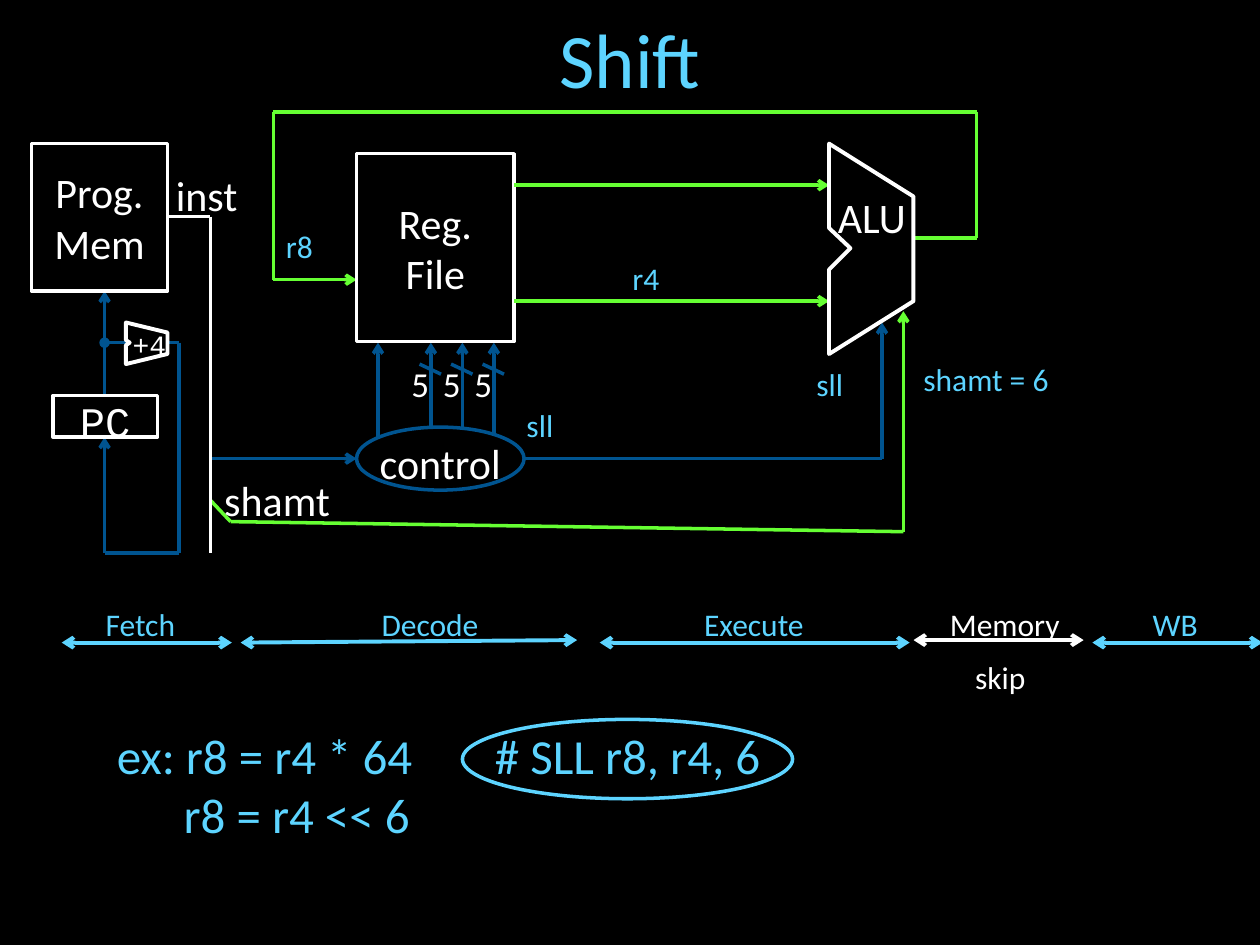
import dataclasses
import pptx
import pptx.dml.color
import pptx.enum.shapes
import pptx.enum.text
import pptx.oxml
import pptx.oxml.ns
import pptx.util

Inches = pptx.util.Inches
Pt = pptx.util.Pt
SHAPE = pptx.enum.shapes.MSO_SHAPE
ALIGN = pptx.enum.text.PP_ALIGN
ANCHOR = pptx.enum.text.MSO_ANCHOR


@dataclasses.dataclass(frozen=True)
class Theme:
    back: str = "000000"
    white: str = "FFFFFF"
    sky: str = "5DD4FF"
    blue: str = "005490"
    green: str = "66FF33"
    font: str = "Calibri"
    mono: str = "Courier New"
    title: int = 44
    code: int = 28
    block: int = 24
    bits: int = 20
    note: int = 18
    small: int = 16
    wire: float = 2
    bold: float = 2.25


THEME = Theme()


def rgb(color):
    return pptx.dml.color.RGBColor.from_string(color)


def element(tag, **attrs):
    item = pptx.oxml.parse_xml(f"<{tag} {pptx.oxml.ns.nsdecls('a')}/>")
    for key, value in attrs.items():
        item.set(key, str(value))
    return item


def style(frame, size, color, font=THEME.font, align=None, spacing=None):
    for para in frame.paragraphs:
        para.alignment = align
        para.line_spacing = spacing
        for run in para.runs:
            run.font.size = Pt(size)
            run.font.name = font
            run.font.color.rgb = rgb(color)


class Region:
    """Draws on a slide, in inches from the top left of a box."""

    def __init__(self, slide, box):
        self.shapes = slide.shapes
        self.left, self.top, self.width, self.height = box

    def spot(self, x, y):
        return Inches(self.left + x), Inches(self.top + y)

    def place(self, box):
        x, y, w, h = box
        return *self.spot(x, y), Inches(w), Inches(h)

    def wire(self, points, color, width=THEME.wire, head=None, tail=None):
        """Joins the points; head and tail mark the first and last one."""
        last = len(points) - 2
        for i, (start, end) in enumerate(zip(points, points[1:])):
            line = self.shapes.add_connector(
                pptx.enum.shapes.MSO_CONNECTOR.STRAIGHT,
                *self.spot(*start), *self.spot(*end))
            line.line.color.rgb = rgb(color)
            line.line.width = Pt(width)
            ln = line.line._get_or_add_ln()
            if head and i == 0:
                ln.append(element("a:headEnd", type=head))
            if tail and i == last:
                ln.append(element("a:tailEnd", type=tail))
            line._element.spPr.append(element("a:effectLst"))

    def trim(self, shape, color, width, fill=None):
        shape.shadow.inherit = False
        if fill:
            shape.fill.solid()
            shape.fill.fore_color.rgb = rgb(fill)
        else:
            shape.fill.background()
        shape.line.color.rgb = rgb(color)
        shape.line.width = Pt(width)

    def block(self, kind, box, text="", color=THEME.white, fill=None,
              font=THEME.font, wrap=True, spacing=None):
        shape = self.shapes.add_shape(kind, *self.place(box))
        self.trim(shape, color, THEME.wire, fill)
        if text:
            frame = shape.text_frame
            frame.text = text
            frame.word_wrap = wrap
            frame.vertical_anchor = ANCHOR.MIDDLE
            style(frame, THEME.block, THEME.white, font, ALIGN.CENTER, spacing)

    def outline(self, points):
        start, *rest = [self.spot(*point) for point in points]
        pen = self.shapes.build_freeform(*start)
        pen.add_line_segments(rest, close=True)
        self.trim(pen.convert_to_shape(), THEME.white, THEME.bold)

    def label(self, text, box, size=THEME.block, font=THEME.font):
        """White text centred on its box, without margins."""
        frame = self.shapes.add_textbox(*self.place(box)).text_frame
        frame.text = text
        frame.word_wrap = False
        frame.vertical_anchor = ANCHOR.MIDDLE
        frame.margin_left = frame.margin_right = 0
        frame.margin_top = frame.margin_bottom = 0
        style(frame, size, THEME.white, font, ALIGN.CENTER, 1.16)

    def note(self, text, x, y, w=0.42, color=THEME.sky):
        frame = self.shapes.add_textbox(*self.place((x, y, w, 0.4))).text_frame
        frame.text = text
        frame.word_wrap = False
        style(frame, THEME.note, color)


def heading(slide, box):
    title = slide.shapes.title
    title.left, title.top, title.width, title.height = map(Inches, box)
    frame = title.text_frame
    frame.text = "Shift"
    frame.vertical_anchor = ANCHOR.MIDDLE
    style(frame, THEME.title, THEME.sky, align=ALIGN.CENTER)


def fetch(slide, box):
    part = Region(slide, box)
    stem, mid, end = 0.58, 1.58, part.height
    part.wire([(stem, 2), (stem, 1.17)], THEME.blue, tail="arrow")
    part.wire([(stem, mid), (0.75, mid)], THEME.blue, head="oval")
    part.wire([(1.08, mid), (1.17, mid), (1.17, end), (stem, end),
               (stem, 2.33)], THEME.blue, tail="arrow")
    part.wire([(1.08, 0.58), (part.width, 0.58), (part.width, end)],
              THEME.white)
    part.block(SHAPE.RECTANGLE, (0, 0, 1.08, 1.17), "Prog.\nMem")
    part.block(SHAPE.RECTANGLE, (0.17, 2, 0.83, 0.33), "PC",
               font=THEME.mono, spacing=1.16)
    part.outline([(0.75, 1.42), (1.08, 1.5), (1.08, 1.67), (0.75, 1.75),
                  (0.75, 1.6), (0.78, mid), (0.75, 1.56)])
    part.label("+4", (0.78, 1.45, 0.31, 0.25), THEME.small, THEME.mono)
    part.label("inst", (1.12, 0.25, 0.54, 0.25))


def decode(slide, box):
    part = Region(slide, box)
    for x, y in ((0.17, 2.34), (0.59, 2.25), (0.84, 2.25), (1.09, 2.34)):
        part.wire([(x, y), (x, 1.5)], THEME.blue, tail="arrow")
    for x in (0.59, 0.84, 1.09):
        part.label("5", (x - 0.17, 1.67, 0.17, 0.25), THEME.bits)
        part.wire([(x - 0.09, 1.67), (x + 0.08, 1.75)], THEME.blue)
    part.block(SHAPE.RECTANGLE, (0, 0, 1.25, 1.49), "Reg.\vFile")
    part.block(SHAPE.OVAL, (0, 2.17, part.width, 0.5), "control", THEME.blue,
               THEME.back, wrap=False, spacing=1.16)
    part.note("sll", 1.25, 1.95)


def execute(slide, box):
    part = Region(slide, box)
    for y in (0.33, 1.25):
        part.wire([(0, y), (2.5, y)], THEME.green, tail="arrow")
    part.wire([(0.09, 2.5), (2.92, 2.5), (2.92, 1.42)], THEME.blue,
              tail="arrow")
    part.outline([(2.5, 0), (3.17, 0.42), (3.17, 1.25), (2.5, 1.67),
                  (2.5, 1), (2.67, 0.83), (2.5, 0.67)])
    part.label("ALU", (2.54, 0.33, 0.6, 0.43))
    part.note("r4", 0.84, 0.87)
    part.note("sll", 2.3, 1.71)
    part.note("shamt = 6", 3.15, 1.67, 1.21)


def routes(slide, box):
    """Draws the wires that link the stages."""
    part = Region(slide, box)
    part.wire([(5.58, 1), (part.width, 1), (part.width, 0), (0.5, 0),
               (0.5, 1.33), (1.16, 1.33)], THEME.green, tail="arrow")
    part.note("r8", 0.5, 0.86)
    part.wire([(0, 2.75), (1.16, 2.75)], THEME.blue, tail="arrow")
    part.wire([(0, 3.08), (0.16, 3.25), (5.5, 3.33), (5.5, 1.58)],
              THEME.green, tail="arrow")
    part.label("shamt", (0.08, 2.92, 0.9, 0.25))


def stages(slide, box):
    part = Region(slide, box)
    spans = (
        # name, from, to, label left, label width, heights at both ends
        ("Fetch", 0, 1.35, 0.25, 0.76, 0.35, 0.35),
        ("Decode", 1.42, 4.09, 2.44, 0.98, 0.35, 0.33),
        ("Execute", 4.27, 6.73, 5, 1, 0.35, 0.35),
        ("Memory", 6.76, 8.11, 6.95, 1.08, 0.33, 0.33),
        ("WB", 8.18, 9.53, 8.56, 0.56, 0.35, 0.35),
    )
    for name, start, end, x, w, rise, fall in spans:
        color = THEME.white if name == "Memory" else THEME.sky
        part.wire([(start, rise), (end, fall)], color, THEME.bold,
                  "arrow", "arrow")
        part.note(name, x, 0, w, color)
    part.note("skip", 7.15, 0.42, 0.61, THEME.white)


def sample(slide, box):
    part = Region(slide, box)
    area = part.place((0, 0, part.width, part.height))
    frame = part.shapes.add_textbox(*area).text_frame
    frame.word_wrap = True
    frame.text = "ex: r8 = r4 * 64\t# SLL r8, r4, 6\nr8 = r4 << 6"
    first, second = frame.paragraphs
    tabs = element("a:tabLst")
    tabs.append(element("a:tab", pos=Inches(3), algn="l"))
    first._p.get_or_add_pPr().append(tabs)
    second._p.get_or_add_pPr().set("marL", str(Inches(0.53)))
    style(frame, THEME.code, THEME.sky)
    part.block(SHAPE.OVAL, (2.84, 0, 2.62, 0.63), color=THEME.sky)


def main():
    deck = pptx.Presentation()
    deck.slide_width, deck.slide_height = Inches(10), Inches(7.5)
    slide = deck.slides.add_slide(deck.slide_layouts[5])
    slide.background.fill.solid()
    slide.background.fill.fore_color.rgb = rgb(THEME.back)
    heading(slide, (0.25, 0.17, 9.5, 0.58))
    routes(slide, (1.67, 0.89, 6.08, 3.5))
    fetch(slide, (0.25, 1.14, 1.42, 3.25))
    decode(slide, (2.83, 1.22, 1.33, 2.67))
    execute(slide, (4.08, 1.14, 3.67, 2.5))
    stages(slide, (0.49, 4.75, 9.53, 0.82))
    sample(slide, (0.83, 5.71, 5.45, 1.04))
    deck.save("out.pptx")


if __name__ == "__main__":
    main()
